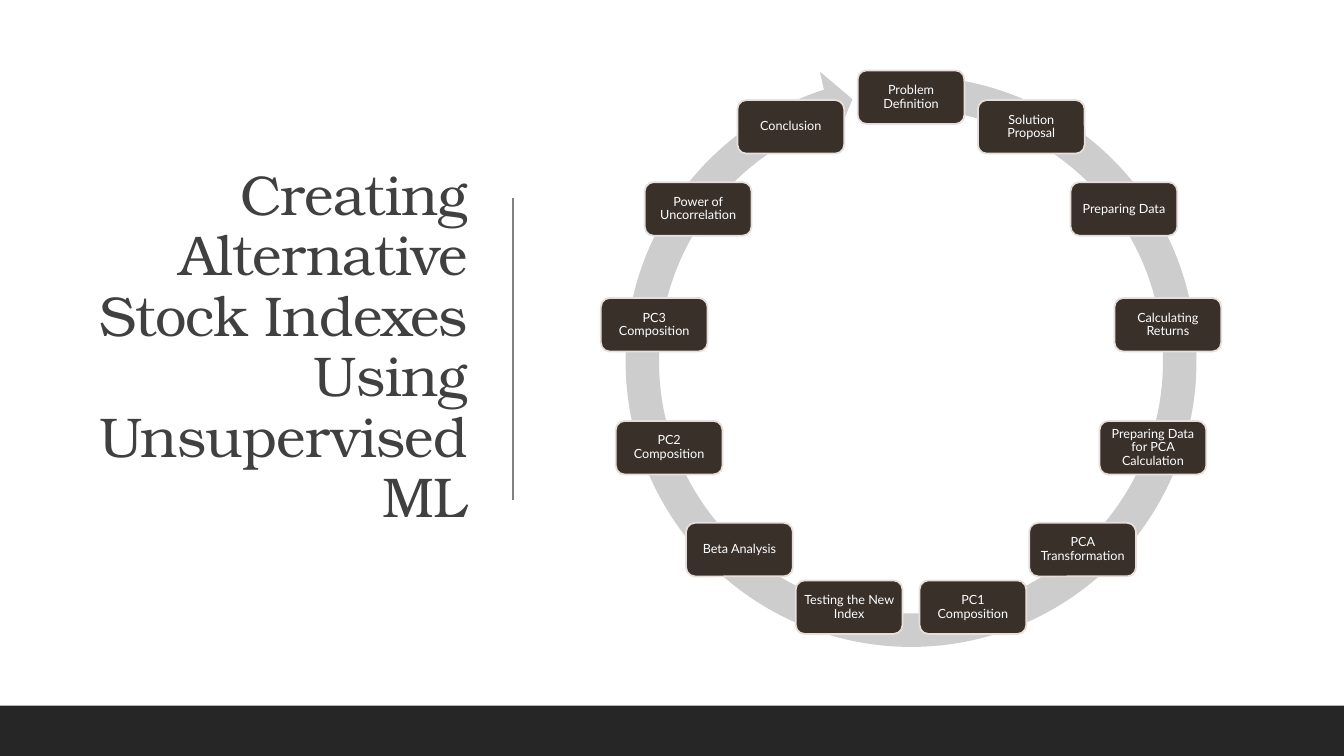
from math import cos, pi, sin

from lxml.etree import SubElement
from pptx import Presentation
from pptx.dml.color import RGBColor
from pptx.enum.shapes import MSO_CONNECTOR as Connector, MSO_SHAPE as Shape
from pptx.enum.text import MSO_ANCHOR as Anchor, PP_ALIGN as Align
from pptx.oxml.ns import qn
from pptx.util import Cm, Pt

WHITE = RGBColor(0xFF, 0xFF, 0xFF)
CHARCOAL = RGBColor(0x26, 0x26, 0x26)
TITLE_GREY = RGBColor(0x40, 0x40, 0x40)
DIVIDER_GREY = RGBColor(0x80, 0x80, 0x80)
RING_GREY = RGBColor(0xCE, 0xCD, 0xCD)
BROWN = RGBColor(0x39, 0x30, 0x2A)
STEP_EDGE = RGBColor(0xE5, 0xDE, 0xDB)

SLIDE_WIDTH, SLIDE_HEIGHT = 33.87, 19.05
FOOTER_HEIGHT = 1.27
CENTER_X, CENTER_Y, RADIUS = 22.96, 8.97, 6.52
STEP_WIDTH, STEP_HEIGHT = 2.69, 1.35
RING_SIZE = 15.32
RING_ADJUSTMENTS = (0.055, 3.307, 151.142, 166.14, 0.058)

TITLE = "Creating Alternative Stock Indexes Using Unsupervised ML"
STEPS = (
    "Problem Definition",
    "Solution Proposal",
    "Preparing Data",
    "Calculating Returns",
    "Preparing Data for PCA Calculation",
    "PCA Transformation",
    "PC1 Composition",
    "Testing the New Index",
    "Beta Analysis",
    "PC2 Composition",
    "PC3 Composition",
    "Power of Uncorrelation",
    "Conclusion",
)


class SlideBuilder:
    title_font = "TeX Gyre Bonum"
    body_font = "Lato"
    line_spacing = 0.9

    def __init__(self, slide):
        self.shapes = slide.shapes

    def set_text(self, frame, text, font_name, size, color, align):
        frame.word_wrap = True
        frame.vertical_anchor = Anchor.MIDDLE
        paragraph = frame.paragraphs[0]
        paragraph.text = text
        paragraph.alignment = align
        paragraph.line_spacing = self.line_spacing
        paragraph.font.name = font_name
        paragraph.font.size = Pt(size)
        paragraph.font.color.rgb = color
        return paragraph

    def title(self, text, left, top, width, height):
        box = self.shapes.add_textbox(Cm(left), Cm(top), Cm(width), Cm(height))
        paragraph = self.set_text(
            box.text_frame, text, self.title_font, 40, TITLE_GREY, Align.RIGHT
        )
        paragraph.runs[0].font._element.set("spc", "-50")

    def block(self, kind, left, top, width, height, fill, edge=None):
        block = self.shapes.add_shape(kind, Cm(left), Cm(top), Cm(width), Cm(height))
        block.shadow.inherit = False
        block.fill.solid()
        block.fill.fore_color.rgb = fill
        if edge is None:
            block.line.fill.background()
        else:
            block.line.color.rgb = edge
            block.line.width = Pt(1.25)
        return block

    def divider(self, x, top, bottom):
        divider = self.shapes.add_connector(
            Connector.STRAIGHT, Cm(x), Cm(top), Cm(x), Cm(bottom)
        )
        divider.line.color.rgb = DIVIDER_GREY
        divider.line.width = Pt(1)
        SubElement(divider._element.spPr, qn("a:effectLst"))

    def ring(self, left, top, size):
        ring = self.block(Shape.CIRCULAR_ARROW, left, top, size, size, RING_GREY)
        for index, value in enumerate(RING_ADJUSTMENTS):
            ring.adjustments[index] = value

    def step(self, text, center_x, center_y):
        step = self.block(
            Shape.ROUNDED_RECTANGLE,
            center_x - STEP_WIDTH / 2,
            center_y - STEP_HEIGHT / 2,
            STEP_WIDTH,
            STEP_HEIGHT,
            BROWN,
            STEP_EDGE,
        )
        frame = step.text_frame
        frame.margin_left = frame.margin_right = Cm(0.1)
        frame.margin_top = frame.margin_bottom = Cm(0.1)
        self.set_text(frame, text, self.body_font, 9, WHITE, Align.CENTER)

    def cycle(self, steps):
        self.ring(CENTER_X - RING_SIZE / 2, 1.45, RING_SIZE)
        for index, text in enumerate(steps):
            angle = 2 * pi * index / len(steps)
            self.step(
                text, CENTER_X + RADIUS * sin(angle), CENTER_Y - RADIUS * cos(angle)
            )


def main():
    deck = Presentation()
    deck.slide_width = Cm(SLIDE_WIDTH)
    deck.slide_height = Cm(SLIDE_HEIGHT)
    builder = SlideBuilder(deck.slides.add_slide(deck.slide_layouts[6]))
    builder.title(TITLE, 1.78, 1.75, 10.24, 14.05)
    builder.divider(12.93, 4.98, 12.6)
    builder.block(
        Shape.RECTANGLE,
        0,
        SLIDE_HEIGHT - FOOTER_HEIGHT,
        SLIDE_WIDTH,
        FOOTER_HEIGHT,
        CHARCOAL,
    )
    builder.cycle(STEPS)
    deck.save("out.pptx")


if __name__ == "__main__":
    main()
